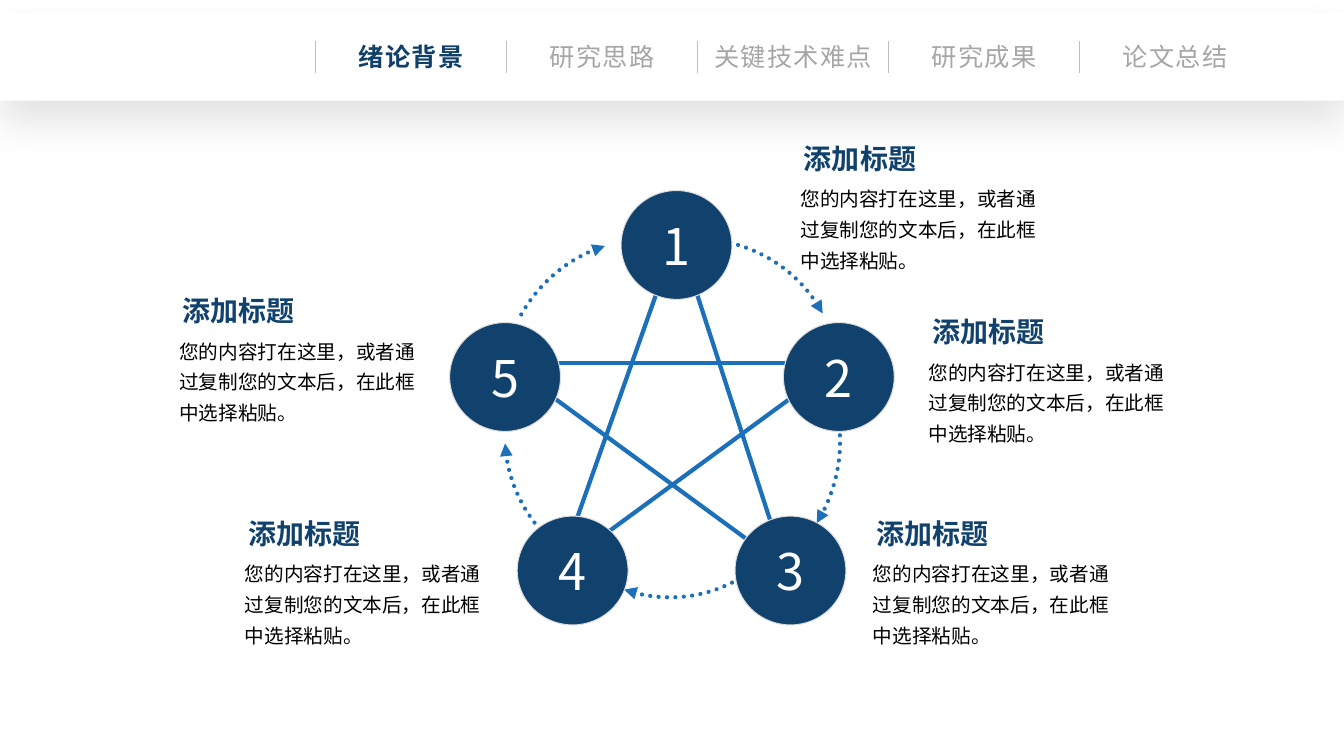
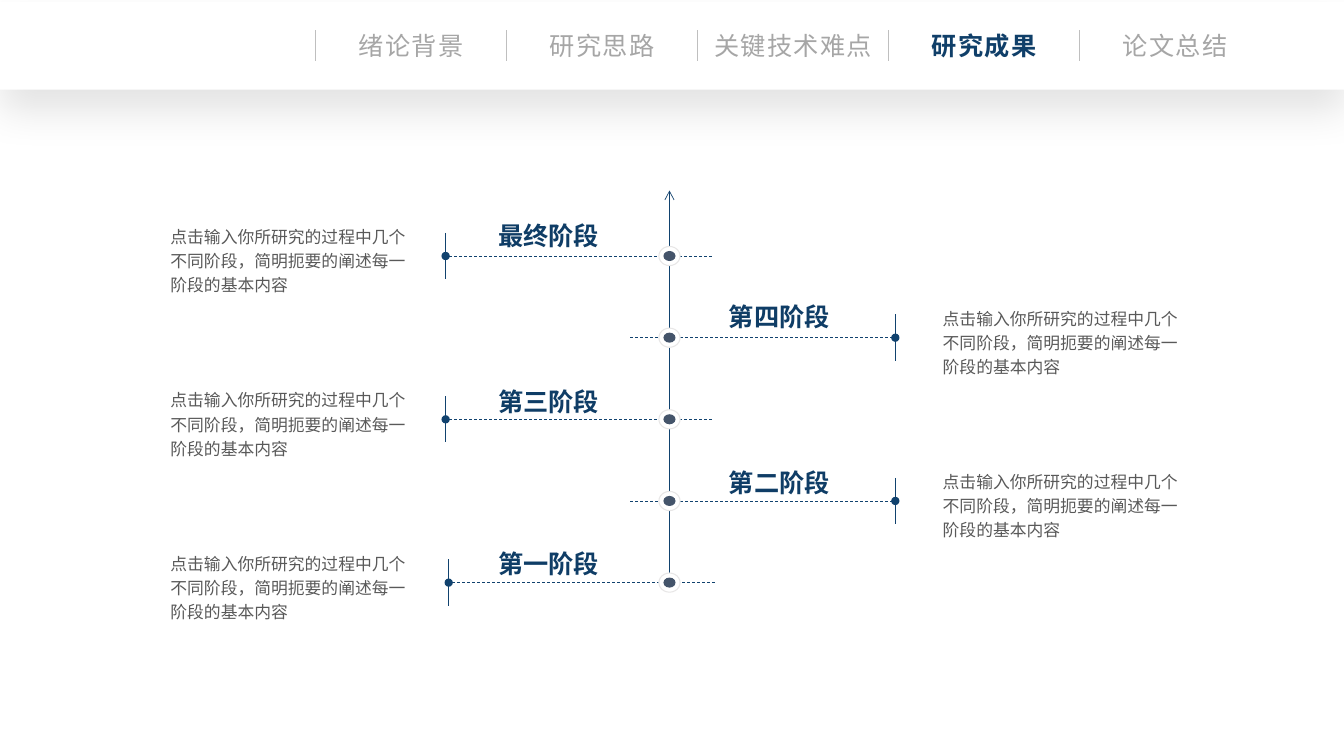
from dataclasses import dataclass

from lxml.etree import SubElement
from pptx import Presentation
from pptx.dml.color import RGBColor
from pptx.enum.dml import MSO_LINE
from pptx.enum.shapes import MSO_CONNECTOR, MSO_SHAPE
from pptx.enum.text import MSO_ANCHOR, PP_ALIGN
from pptx.oxml.ns import qn
from pptx.util import Inches, Pt


@dataclass(frozen=True)
class Theme:
    """Colours, font and type sizes shared by the slides."""

    font: str = "Noto Sans CJK SC"
    navy: str = "11426E"
    active: str = "103F69"
    stage: str = "0F3D66"
    blue: str = "1C6FB9"
    slate: str = "44546A"
    muted: str = "A6A6A6"
    divider: str = "BFBFBF"
    node_edge: str = "DDDDDD"
    ring_edge: str = "E7E6E6"
    stage_body: str = "595959"
    black: str = "000000"
    white: str = "FFFFFF"
    number_size: int = 36
    heading_size: int = 20
    label_size: int = 18
    body_size: int = 14
    stage_body_size: int = 12


THEME = Theme()
SLIDE_WIDTH, SLIDE_HEIGHT = 13.33, 7.5

SECTIONS = ["绪论背景", "研究思路", "关键技术难点", "研究成果", "论文总结"]
NAV_LEFT, NAV_PITCH = 3.13, (10.71 - 3.13) / 4

HEADING = "添加标题"
BODY = "您的内容打在这里，或者通过复制您的文本后，在此框中选择粘贴。"
NODE_SIZE = (1.1, 1.08)
NODE_CENTRES = [(6.71, 2.43), (8.32, 3.74), (7.84, 5.66), (5.68, 5.66), (5.01, 3.74)]
STAR_TIPS = [(6.72, 2.32), (8.32, 3.6), (7.79, 5.63), (5.55, 5.63), (5.02, 3.6)]
BODY_CORNERS = [(7.84, 1.74), (9.11, 3.46), (8.56, 5.46), (2.33, 5.46), (1.68, 3.25)]
CYCLE_ARCS = [
    [(7.32, 2.43), (7.68, 2.54), (7.98, 2.78), (8.16, 3.11)],
    [(8.3, 4.07), (8.38, 4.45), (8.31, 4.85), (8.1, 5.19)],
    [(7.26, 5.78), (6.93, 5.95), (6.54, 5.97), (6.19, 5.85)],
    [(5.47, 5.37), (5.2, 5.12), (5.03, 4.77), (5.01, 4.4)],
    [(5.17, 3.12), (5.35, 2.8), (5.65, 2.55), (6, 2.44)],
]

STAGE_BODY = "点击输入你所研究的过程中几个不同阶段，简明扼要的阐述每一阶段的基本内容"
STAGES = [
    ("最终阶段", 2.19, 0),
    ("第四阶段", 2.99, 0),
    ("第三阶段", 3.83, 0),
    ("第二阶段", 4.64, 0),
    ("第一阶段", 5.44, 0.03),
]
STAGE_TOP, STAGE_PITCH, AXIS_X = 2.54, 0.81, 6.64


def rgb(code):
    """Turn a hex code into a colour."""
    return RGBColor.from_string(code)


def write_text(frame, text, *, size, color, bold=False, align=PP_ALIGN.LEFT,
               anchor=MSO_ANCHOR.TOP, wrap=True, leading=None, tracking=None, margin=None):
    """Put one formatted paragraph in a text frame."""
    frame.word_wrap = wrap
    frame.vertical_anchor = anchor
    if margin is not None:
        frame.margin_left = frame.margin_right = Inches(margin)
        frame.margin_top = frame.margin_bottom = Inches(margin)
    paragraph = frame.paragraphs[0]
    paragraph.alignment = align
    if leading:
        paragraph.line_spacing = leading
    run = paragraph.add_run()
    run.text = text
    run.font.size = Pt(size)
    run.font.bold = bold
    run.font.color.rgb = rgb(color)
    run.font.name = THEME.font
    properties = run.font._element
    SubElement(properties, qn("a:ea"), typeface=THEME.font)
    if tracking:
        properties.set("spc", str(round(tracking * 100)))


def add_text(slide, text, left, top, width, height, **text_format):
    """Add a text box holding formatted text."""
    box = slide.shapes.add_textbox(Inches(left), Inches(top), Inches(width), Inches(height))
    write_text(box.text_frame, text, **text_format)


def style_line(shape, color, width, dash=None, tail=None):
    """Set the stroke of a shape, with an optional dash and end marker."""
    shape.line.color.rgb = rgb(color)
    shape.line.width = Pt(width)
    if dash:
        shape.line.dash_style = dash
    stroke = shape._element.spPr.find(qn("a:ln"))
    if dash == MSO_LINE.ROUND_DOT:
        stroke.set("cap", "rnd")
    if tail:
        SubElement(stroke, qn("a:tailEnd"), type=tail)


def add_line(slide, start, end, color, width, **stroke):
    """Add a straight line between two points."""
    ends = [Inches(value) for value in (*start, *end)]
    line = slide.shapes.add_connector(MSO_CONNECTOR.STRAIGHT, *ends)
    style_line(line, color, width, **stroke)
    SubElement(line._element.spPr, qn("a:effectLst"))


def add_shape(slide, kind, left, top, width, height, fill, edge=None):
    """Add a flat filled shape with an optional thin edge."""
    shape = slide.shapes.add_shape(
        kind, Inches(left), Inches(top), Inches(width), Inches(height))
    shape.shadow.inherit = False
    shape.fill.solid()
    shape.fill.fore_color.rgb = rgb(fill)
    if edge:
        style_line(shape, edge, 0.75)
    else:
        shape.line.fill.background()
    return shape


def add_ellipse(slide, centre, size, fill, edge=None):
    """Add an ellipse around a centre."""
    (x, y), (width, height) = centre, size
    return add_shape(slide, MSO_SHAPE.OVAL, x - width / 2, y - height / 2,
                     width, height, fill, edge)


def add_arc_arrow(slide, controls, steps=24):
    """Add a dotted arrow along a cubic curve."""
    points = []
    for step in range(steps + 1):
        t = step / steps
        weights = [(1 - t) ** 3, 3 * t * (1 - t) ** 2, 3 * t ** 2 * (1 - t), t ** 3]
        points.append(tuple(
            Inches(sum(weight * value for weight, value in zip(weights, axis)))
            for axis in zip(*controls)))
    builder = slide.shapes.build_freeform(*points[0])
    builder.add_line_segments(points[1:], close=False)
    arc = builder.convert_to_shape()
    arc.shadow.inherit = False
    arc.fill.background()
    style_line(arc, THEME.blue, 3, MSO_LINE.ROUND_DOT, "triangle")


def add_nav(slide, top, current):
    """Add the shadowed section bar with the current section marked."""
    bar = add_shape(slide, MSO_SHAPE.RECTANGLE, 0, top, SLIDE_WIDTH, 0.87, THEME.white)
    effects = bar._element.spPr.find(qn("a:effectLst"))
    shadow = SubElement(effects, qn("a:outerShdw"), blurRad=str(Pt(28)), dist=str(Pt(15)),
                        dir="5400000", algn="t", rotWithShape="0")
    tint = SubElement(shadow, qn("a:srgbClr"), val=THEME.black)
    SubElement(tint, qn("a:alpha"), val="11000")
    for index, section in enumerate(SECTIONS):
        left = NAV_LEFT + index * NAV_PITCH
        is_current = section == current
        add_line(slide, (left, top + 0.28), (left, top + 0.59), THEME.divider, 0.5)
        add_text(slide, section, left, top + 0.23, NAV_PITCH, 0.4,
                 size=THEME.label_size, color=THEME.active if is_current else THEME.muted,
                 bold=is_current, align=PP_ALIGN.CENTER, wrap=False, tracking=1)


def add_node(slide, number, centre):
    """Add a numbered circle of the star."""
    node = add_ellipse(slide, centre, NODE_SIZE, THEME.navy, THEME.node_edge)
    write_text(node.text_frame, str(number), size=THEME.number_size, color=THEME.white,
               align=PP_ALIGN.CENTER, anchor=MSO_ANCHOR.MIDDLE, wrap=False)


def add_caption(slide, left, top):
    """Add a heading with its body text below."""
    add_text(slide, BODY, left, top, 2.68, 1.02,
             size=THEME.body_size, color=THEME.black, leading=1.3)
    add_text(slide, HEADING, left + 0.03, top - 0.39, 1.32, 0.44, size=THEME.heading_size,
             color=THEME.navy, bold=True, align=PP_ALIGN.CENTER, wrap=False)


def add_stage(slide, title, title_top, y, on_left, shift):
    """Add one branch of the timeline with its title and description."""
    inner, outer, title_left, body_left = (
        (7.06, 4.42, 4.94, 1.69) if on_left else (6.25, 8.88, 7.23, 9.35))
    tip = outer + shift
    add_line(slide, (inner + shift, y), (tip, y), THEME.navy, 0.5,
             dash=MSO_LINE.DASH, tail="oval")
    add_line(slide, (tip, y - 0.23), (tip, y + 0.23), THEME.navy, 0.5)
    add_text(slide, title, title_left, title_top, 1.18, 0.3,
             size=THEME.label_size, color=THEME.stage, bold=True, margin=0)
    add_text(slide, STAGE_BODY, body_left, y - 0.33, 2.41, 0.72,
             size=THEME.stage_body_size, color=THEME.stage_body, leading=1.2, margin=0)


def build_star(slide):
    """Build the five-point cycle slide."""
    for arc in CYCLE_ARCS:
        add_arc_arrow(slide, arc)
    for index, tip in enumerate(STAR_TIPS):
        add_line(slide, tip, STAR_TIPS[(index + 2) % len(STAR_TIPS)], THEME.blue, 3)
    for number, centre in enumerate(NODE_CENTRES, start=1):
        add_node(slide, number, centre)
    for corner in BODY_CORNERS:
        add_caption(slide, *corner)
    add_nav(slide, 0.13, "绪论背景")


def build_timeline(slide):
    """Build the stage timeline slide."""
    rows = [STAGE_TOP + index * STAGE_PITCH for index in range(len(STAGES))]
    for index, (title, title_top, shift) in enumerate(STAGES):
        add_stage(slide, title, title_top, rows[index], index % 2 == 0, shift)
    add_line(slide, (AXIS_X, 5.86), (AXIS_X, 1.89), THEME.navy, 0.5, tail="arrow")
    for y in rows:
        add_ellipse(slide, (AXIS_X, y), (0.21, 0.19), THEME.white, THEME.ring_edge)
        add_ellipse(slide, (AXIS_X, y), (0.12, 0.1), THEME.slate)
    add_nav(slide, 0.02, "研究成果")


def main():
    """Build and save the presentation."""
    deck = Presentation()
    deck.slide_width = Inches(SLIDE_WIDTH)
    deck.slide_height = Inches(SLIDE_HEIGHT)
    for build in (build_star, build_timeline):
        build(deck.slides.add_slide(deck.slide_layouts[6]))
    deck.save("out.pptx")


if __name__ == "__main__":
    main()
